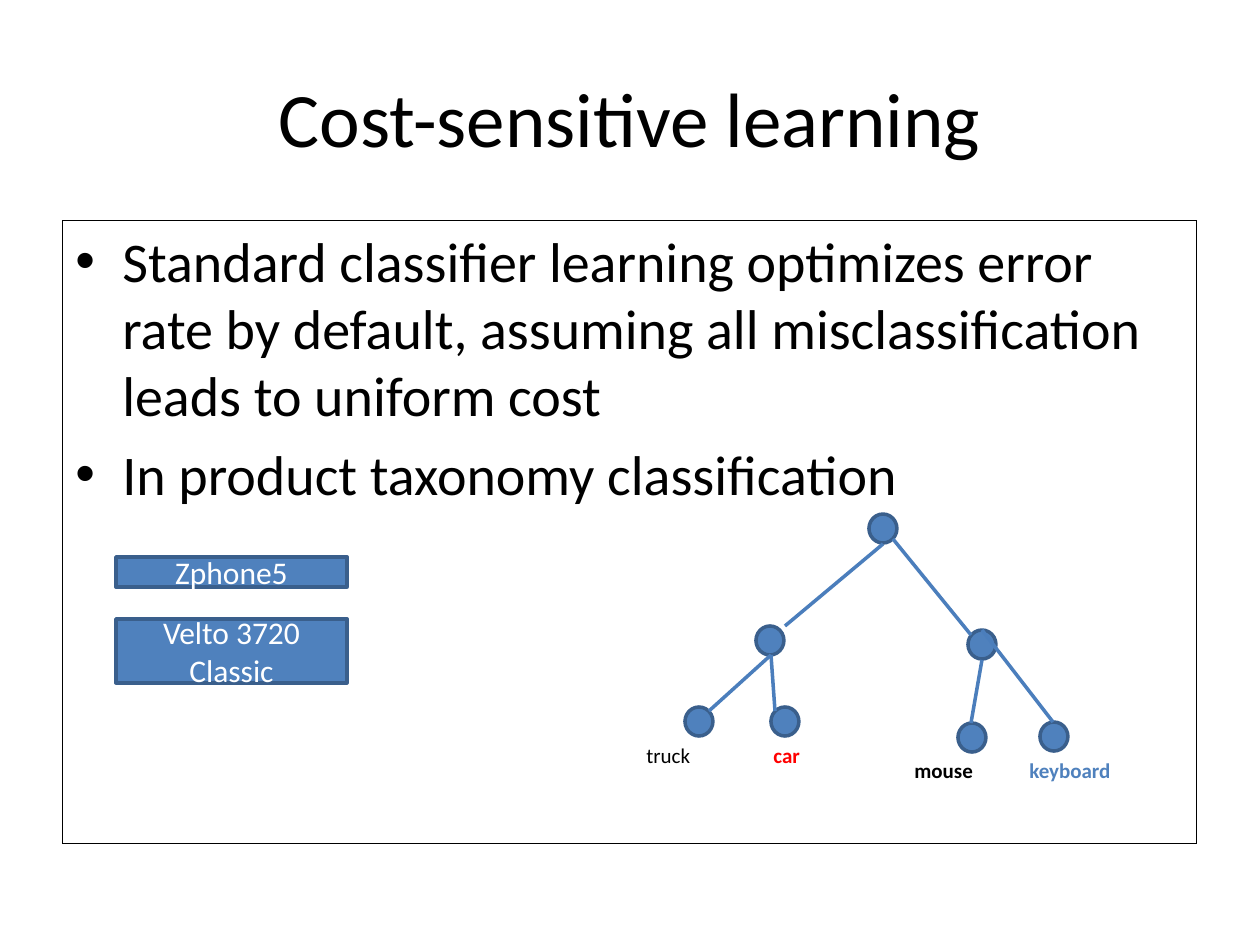
import pptx
import pptx.util
import pptx.dml.color
import pptx.enum.shapes
import pptx.enum.text
import pptx.oxml.ns
from lxml import etree

RGBColor = pptx.dml.color.RGBColor
Pt = pptx.util.Pt
MSO_SHAPE = pptx.enum.shapes.MSO_SHAPE
ANCHOR = pptx.enum.text.MSO_ANCHOR
ALIGN = pptx.enum.text.PP_ALIGN
qn = pptx.oxml.ns.qn

BLACK = RGBColor(0x00, 0x00, 0x00)
WHITE = RGBColor(0xFF, 0xFF, 0xFF)
RED = RGBColor(0xFF, 0x00, 0x00)
BLUE = RGBColor(0x4F, 0x81, 0xBD)
OUTLINE = RGBColor(0x3A, 0x5F, 0x8C)
EDGE = RGBColor(0x4B, 0x7E, 0xBC)
PX = 914400 / 126


def emu(*lengths):
    return [round(length * PX) for length in lengths]


def format_text(frame, size, color, bold=False):
    for paragraph in frame.paragraphs:
        for run in paragraph.runs:
            run.font.name = "Calibri"
            run.font.size = Pt(size)
            run.font.bold = bold
            run.font.color.rgb = color


deck = pptx.Presentation()
deck.slide_width, deck.slide_height = emu(1260, 945)
slide = deck.slides.add_slide(deck.slide_layouts[5])
shapes = slide.shapes

title = shapes.title
title.left, title.top, title.width, title.height = emu(63, 38, 1134, 157)
title.text_frame.text = "Cost-sensitive learning"
title.text_frame.vertical_anchor = ANCHOR.MIDDLE
title.text_frame.paragraphs[0].alignment = ALIGN.CENTER
format_text(title.text_frame, 44, BLACK)

# Outlined body with two bullets
body = shapes.add_textbox(*emu(63, 220, 1134, 624))
body.line.color.rgb = BLACK
body.line.width = Pt(0)
body.text_frame.word_wrap = True
body.text_frame.text = (
    "Standard classifier learning optimizes error rate by default, "
    "assuming all misclassification leads to uniform cost\n"
    "In product taxonomy classification"
)
format_text(body.text_frame, 32, BLACK)
indent = emu(47)[0]
for bullet in body.text_frame.paragraphs:
    bullet.space_before = Pt(6.4)
    properties = bullet._p.get_or_add_pPr()
    properties.set("marL", str(indent))
    properties.set("indent", str(-indent))
    etree.SubElement(properties, qn("a:buFont"), typeface="Arial")
    etree.SubElement(properties, qn("a:buChar"), char="•")

# Taxonomy tree: root, two inner nodes, four leaves
nodes = [(869, 514), (756, 626), (968, 630),
         (685, 707), (771, 707), (958, 723), (1040, 722)]
products = [("Zphone5", 557, 30), ("Velto 3720 Classic", 619, 64)]
filled = [(MSO_SHAPE.OVAL, x, y, 28, 29, "") for x, y in nodes]
filled += [(MSO_SHAPE.RECTANGLE, 116, y, 231, height, name)
           for name, y, height in products]
for kind, x, y, width, height, name in filled:
    item = shapes.add_shape(kind, *emu(x, y, width, height))
    item.shadow.inherit = False
    item.fill.solid()
    item.fill.fore_color.rgb = BLUE
    item.line.color.rgb = OUTLINE
    item.line.width = Pt(2)
    if name:
        item.text_frame.text = name
        item.text_frame.word_wrap = True
        item.text_frame.vertical_anchor = ANCHOR.MIDDLE
        item.text_frame.paragraphs[0].alignment = ALIGN.CENTER
        format_text(item.text_frame, 18, WHITE)

edges = [(883, 544, 785, 626), (893, 539, 971, 635),
         (771, 655, 709, 711), (771, 655, 775, 711),
         (982, 660, 971, 723), (982, 630, 1053, 722)]
for ends in edges:
    edge = shapes.add_connector(pptx.enum.shapes.MSO_CONNECTOR.STRAIGHT, *emu(*ends))
    edge.line.color.rgb = EDGE
    edge.line.width = Pt(2)
    etree.SubElement(edge._element.spPr, qn("a:effectLst"))

leaves = [("truck", 634, 736, 122, BLACK, False), ("car", 761, 736, 122, RED, True),
          ("mouse", 902, 751, 122, BLACK, True), ("keyboard", 1017, 751, 179, BLUE, True)]
for name, x, y, width, color, bold in leaves:
    leaf = shapes.add_textbox(*emu(x, y, width, 38))
    leaf.text_frame.word_wrap = True
    leaf.text_frame.text = name
    format_text(leaf.text_frame, 12, color, bold)

deck.save("out.pptx")
